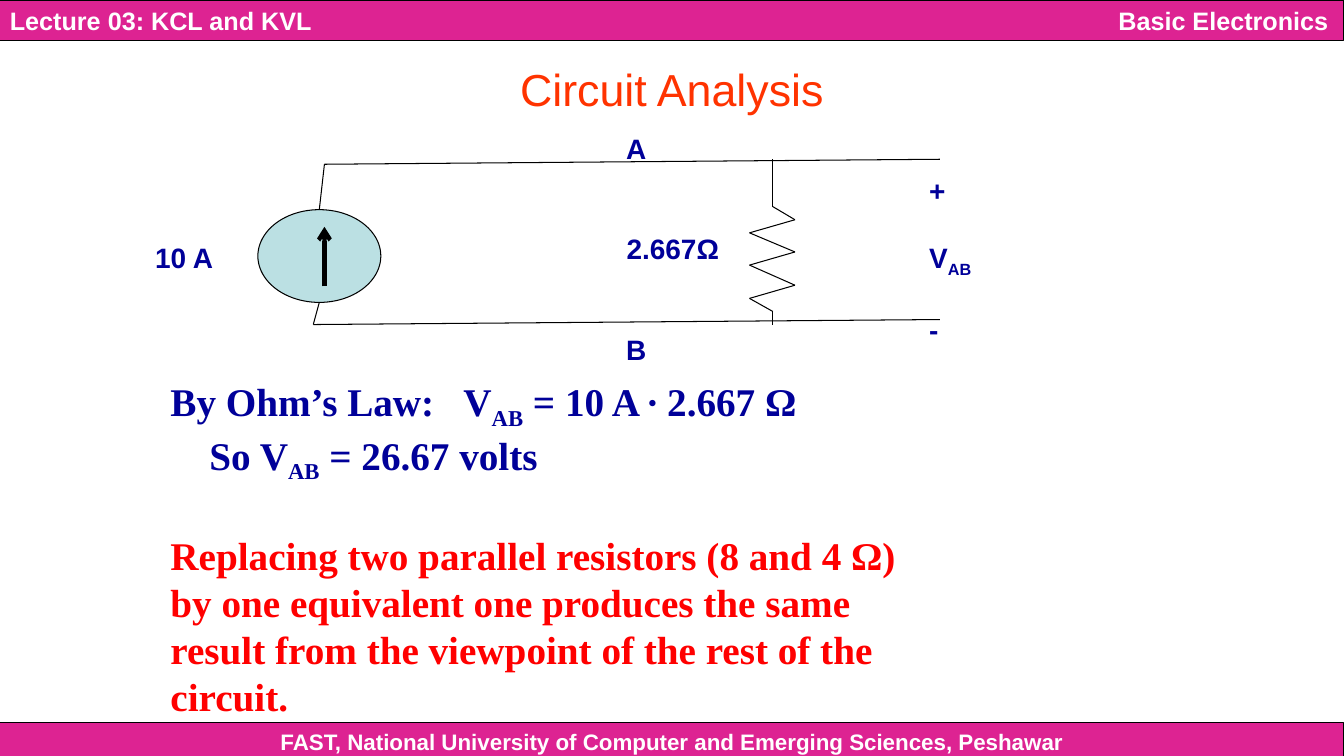
"""Builds the Circuit Analysis slide: a current source feeding one equivalent resistor."""
from itertools import pairwise

from lxml import etree
from pptx import Presentation
from pptx import util as u
from pptx.dml.color import RGBColor
from pptx.enum import shapes, text
from pptx.oxml.ns import qn

COLORS = {"band": "DD2392", "white": "FFFFFF", "black": "000000", "title": "FF3300",
          "source": "BBE0E3", "navy": "000099", "red": "FF0000"}
COLOR = {name: RGBColor.from_string(value) for name, value in COLORS.items()}

deck = Presentation()
deck.slide_width, deck.slide_height = u.Inches(13.34), u.Inches(7.5)
COLUMN, ROW = deck.slide_width / 100, deck.slide_height / 100
page = deck.slides.add_slide(deck.slide_layouts[5])


def place(left, top, width, height):
    """Turn grid columns and rows into lengths."""
    return [u.Emu(round(n)) for n in (left * COLUMN, top * ROW, width * COLUMN, height * ROW)]


def write(para, spans, size, color, font="Arial", bold=True, tab=None):
    """Add runs, lowering every second one, with an optional (columns, side) tab stop."""
    for index, words in enumerate(spans):
        span = para.add_run()
        span.text = words
        span.font.size, span.font.name, span.font.bold = u.Pt(size), font, bold
        span.font.color.rgb = COLOR[color]
        if index % 2:
            span.font._element.set("baseline", "-25000")
    if tab:
        stops = etree.SubElement(para._p.get_or_add_pPr(), qn("a:tabLst"))
        etree.SubElement(stops, qn("a:tab"), pos=str(round(tab[0] * COLUMN)), algn=tab[1])


title = page.shapes.title
title.left, title.top, title.width, title.height = place(0, 5.6, 100, 12.27)
title.text_frame.vertical_anchor = text.MSO_ANCHOR.MIDDLE
title.text_frame.paragraphs[0].alignment = text.PP_ALIGN.CENTER
write(title.text_frame.paragraphs[0], ["Circuit Analysis"], 32, "title", bold=False)

bands = [
    (0, 5.33, "Lecture 03: KCL and KVL\tBasic Electronics", 18, text.PP_ALIGN.LEFT, (98.1, "r")),
    (95.6, 4.93, "FAST, National University of Computer and Emerging Sciences, Peshawar", 16,
     text.PP_ALIGN.CENTER, None),
]
for top, height, words, size, align, tab in bands:
    band = page.shapes.add_shape(shapes.MSO_SHAPE.RECTANGLE, *place(0, top, 100, height))
    band.shadow.inherit = False
    band.fill.solid()
    band.fill.fore_color.rgb = COLOR["band"]
    band.line.color.rgb, band.line.width = COLOR["black"], u.Pt(0.75)
    band.text_frame.margin_top, band.text_frame.margin_bottom = u.Inches(0.01), 0
    band.text_frame.vertical_anchor = text.MSO_ANCHOR.MIDDLE
    band.text_frame.paragraphs[0].alignment = align
    write(band.text_frame.paragraphs[0], [words], size, "white", tab=tab)

source = page.shapes.add_shape(shapes.MSO_SHAPE.OVAL, *place(19.19, 27.73, 9.15, 12.27))
source.shadow.inherit = False
source.fill.solid()
source.fill.fore_color.rgb = COLOR["source"]
source.line.color.rgb, source.line.width = COLOR["black"], u.Pt(0.75)

top_wire = [(69.94, 21.07), (24.14, 21.73), (23.76, 27.73)]
bottom_wire = [(69.94, 42.27), (23.31, 42.93), (23.76, 40)]
zigzag = [(59.15 if index % 2 == 0 else 55.77, row)
          for index, row in enumerate([29.07, 30.8, 33.33, 35.07, 37.73, 39.47])]
resistor = [(57.5, 21.07), (57.5, 27.33), *zigzag, (57.5, 41.2), (57.5, 42.93)]
current = [(24.14, 37.87), (24.14, 30)]
for wire in (top_wire, bottom_wire, resistor, current):
    for start, end in pairwise(wire):
        line = page.shapes.add_connector(shapes.MSO_CONNECTOR.STRAIGHT, *place(*start, *end))
        line.line.color.rgb = COLOR["black"]
        line.line.width = u.Pt(3 if wire is current else 0.75)
        if wire is current:
            etree.SubElement(line.line._get_or_add_ln(), qn("a:tailEnd"), type="arrow")
        etree.SubElement(line._element.spPr, qn("a:effectLst"))

labels = [
    (10.8, 31.2, ["10 A"]),
    (45.88, 30, ["2.667Ω"]),
    (45.85, 16.75, ["A"]),
    (45.85, 43.33, ["B"]),
    (68.4, 22.27, ["+"]),
    (68.4, 31.2, ["V", "AB"]),
    (68.4, 40.7, ["-"]),
]
for left, top, spans in labels:
    box = page.shapes.add_textbox(*place(left, top, 10, 5.87))
    box.text_frame.word_wrap = True
    write(box.text_frame.paragraphs[0], spans, 20, "navy")

statements = [
    (0, 0, "navy", ["By Ohm’s Law:\tV", "AB", " = 10 A ∙ 2.667 Ω"], (21.8, "l")),
    (0, 2.9, "navy", ["So V", "AB", " = 26.67 volts"], None),
    (33.5, 0, "red", ["Replacing two parallel resistors (8 and 4 Ω)"], None),
    (0, 0, "red", ["by one equivalent one produces the same"], None),
    (0, 0, "red", ["result from the viewpoint of the rest of the"], None),
    (0, 0, "red", ["circuit."], None),
]
box = page.shapes.add_textbox(*place(11.95, 49.25, 60, 46))
box.text_frame.word_wrap = True
for index, (gap, indent, color, spans, tab) in enumerate(statements):
    para = box.text_frame.add_paragraph() if index else box.text_frame.paragraphs[0]
    para.space_before = u.Pt(gap)
    para._p.get_or_add_pPr().set("marL", str(round(indent * COLUMN)))
    write(para, spans, 28, color, font="Times New Roman", tab=tab)

deck.save("out.pptx")
